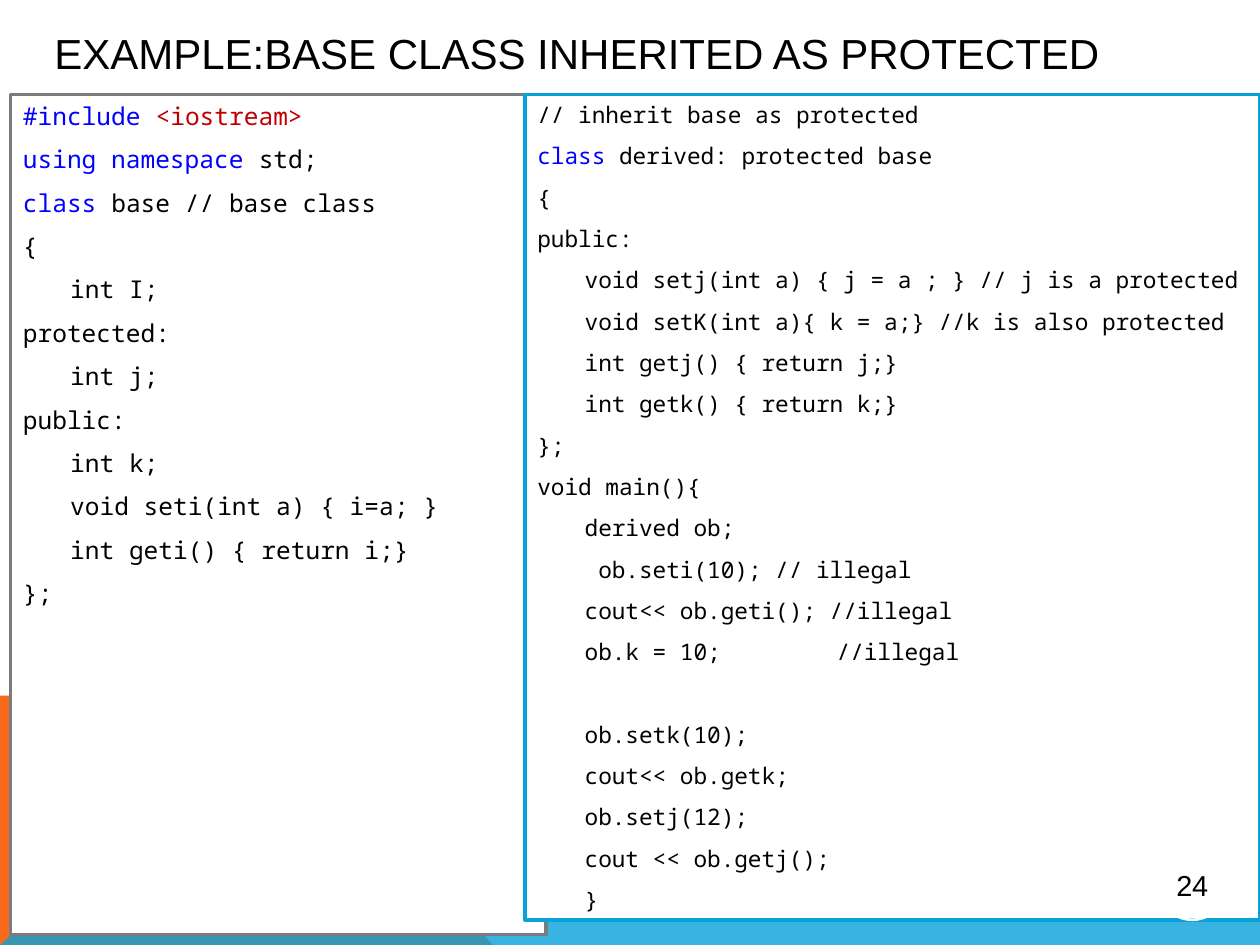
from pptx import Presentation
from pptx.dml.color import RGBColor
from pptx.enum.shapes import MSO_SHAPE
from pptx.enum.text import MSO_ANCHOR, PP_ALIGN
from pptx.oxml.ns import qn
from pptx.util import Pt
from lxml import etree

RECT, ELLIPSE = MSO_SHAPE.RECTANGLE, MSO_SHAPE.OVAL
TOP, MIDDLE = MSO_ANCHOR.TOP, MSO_ANCHOR.MIDDLE
LEFT, CENTER = PP_ALIGN.LEFT, PP_ALIGN.CENTER

BLACK = RGBColor(0x00, 0x00, 0x00)
WHITE = RGBColor(0xFF, 0xFF, 0xFF)
ORANGE = RGBColor(0xF9, 0x6A, 0x1B)
SKY = RGBColor(0x08, 0xA1, 0xD9)
GREY = RGBColor(0x79, 0x7B, 0x7E)
KEYWORD = RGBColor(0x00, 0x00, 0xFF)
HEADER = RGBColor(0xC0, 0x00, 0x00)

WIDTH, HEIGHT = 720, 540


class CodeSlide:
    heading_font = "Arial"
    code_font = "Noto Sans Mono"
    code_indent = 27
    code_tab = 72
    line_gap = 8

    def __init__(self, slide):
        self.slide = slide

    def style(self, run, font, size, color=BLACK):
        run.font.name = font
        run.font.size = Pt(size)
        run.font.color.rgb = color

    def band(self, points, color, opacity=100):
        corners = [(Pt(x), Pt(y)) for x, y in points]
        builder = self.slide.shapes.build_freeform(*corners[0])
        builder.add_line_segments(corners[1:], close=True)
        band = builder.convert_to_shape()
        band.shadow.inherit = False
        band.line.fill.background()
        band.fill.solid()
        band.fill.fore_color.rgb = color
        if opacity < 100:
            tint = band.fill._xPr.find(qn("a:solidFill"))[0]
            etree.SubElement(tint, qn("a:alpha")).set("val", str(opacity * 1000))

    def outlined(self, kind, box, line, width, fill=None):
        shape = self.slide.shapes.add_shape(kind, *map(Pt, box))
        shape.shadow.inherit = False
        if fill is None:
            shape.fill.background()
        else:
            shape.fill.solid()
            shape.fill.fore_color.rgb = fill
        shape.line.color.rgb = line
        shape.line.width = Pt(width)
        return shape

    def code(self, box, line, size, rows, gap_before=None):
        """Rows are strings, or lists of (text, color) pairs."""
        panel = self.outlined(RECT, box, line, 2, WHITE)
        frame = panel.text_frame
        frame.word_wrap = True
        frame.vertical_anchor = TOP
        for number, row in enumerate(rows):
            paragraph = frame.add_paragraph() if number else frame.paragraphs[0]
            paragraph.alignment = LEFT
            blank = 23.5 if row == gap_before else 0
            paragraph.space_before = Pt(self.line_gap + blank)
            indents = paragraph._p.get_or_add_pPr()
            indents.set("marL", str(Pt(self.code_indent)))
            indents.set("indent", str(-Pt(self.code_indent)))
            indents.set("defTabSz", str(Pt(self.code_tab)))
            for text, color in [(row, BLACK)] if isinstance(row, str) else row:
                run = paragraph.add_run()
                run.text = text
                self.style(run, self.code_font, size, color)

    def title(self, box, text, size):
        frame = self.slide.shapes.add_textbox(*map(Pt, box)).text_frame
        frame.word_wrap = True
        frame.vertical_anchor = MIDDLE
        frame.text = text
        self.style(frame.paragraphs[0].runs[0], self.heading_font, size)

    def page_number(self, box, text, size):
        frame = self.outlined(ELLIPSE, box, WHITE, 1.5).text_frame
        frame.margin_left = frame.margin_right = Pt(0.72)
        frame.margin_top = frame.margin_bottom = Pt(0.72)
        frame.vertical_anchor = MIDDLE
        frame.text = text
        frame.paragraphs[0].alignment = CENTER
        self.style(frame.paragraphs[0].runs[0], self.heading_font, size)


BASE_CLASS = [
    [("#include ", KEYWORD), ("<iostream>", HEADER)],
    [("using namespace ", KEYWORD), ("std;", BLACK)],
    [("class", KEYWORD), (" base // base class", BLACK)],
    "{",
    "\tint I;",
    "protected:",
    "\tint j;",
    "public:",
    "\tint k;",
    "\tvoid seti(int a) { i=a; }",
    "\tint geti() { return i;}",
    "};",
]
DERIVED_CLASS = [
    "// inherit base as protected",
    [("class", KEYWORD), (" derived: protected base", BLACK)],
    "{",
    "public:",
    "\tvoid setj(int a) { j = a ; } // j is a protected",
    "\tvoid setK(int a){ k = a;} //k is also protected",
    "\tint getj() { return j;}",
    "\tint getk() { return k;}",
    "};",
    "void main(){",
    "\tderived ob;",
    "\t ob.seti(10); // illegal",
    "\tcout<< ob.geti(); //illegal",
    "\tob.k = 10;\t//illegal",
    "\tob.setk(10);",
    "\tcout<< ob.getk;",
    "\tob.setj(12);",
    "\tcout << ob.getj();",
    "\t}",
]

deck = Presentation()
deck.slide_width, deck.slide_height = Pt(WIDTH), Pt(HEIGHT)
page = CodeSlide(deck.slides.add_slide(deck.slide_layouts[6]))

# Coloured bands at the foot
band_top, bend = 397.5, 160.5
page.band([(0, HEIGHT), (0, band_top), (bend, band_top), (281.5, HEIGHT)], ORANGE)
page.band([(0, HEIGHT), (bend, band_top), (WIDTH, band_top), (WIDTH, HEIGHT)],
          SKY, opacity=80)

# Code panels
page.code((6, 54, 306, 480), GREY, 14, BASE_CLASS)
page.code((300, 54, 420, 471.6), SKY, 13, DERIVED_CLASS,
          gap_before="\tob.setk(10);")

# Page number and title
page.page_number((661.5, 486, 39.6, 39.6), "24", 16.5)
page.title((24, -6, 684, 72), "EXAMPLE:BASE CLASS INHERITED AS PROTECTED", 24)

deck.save("out.pptx")
